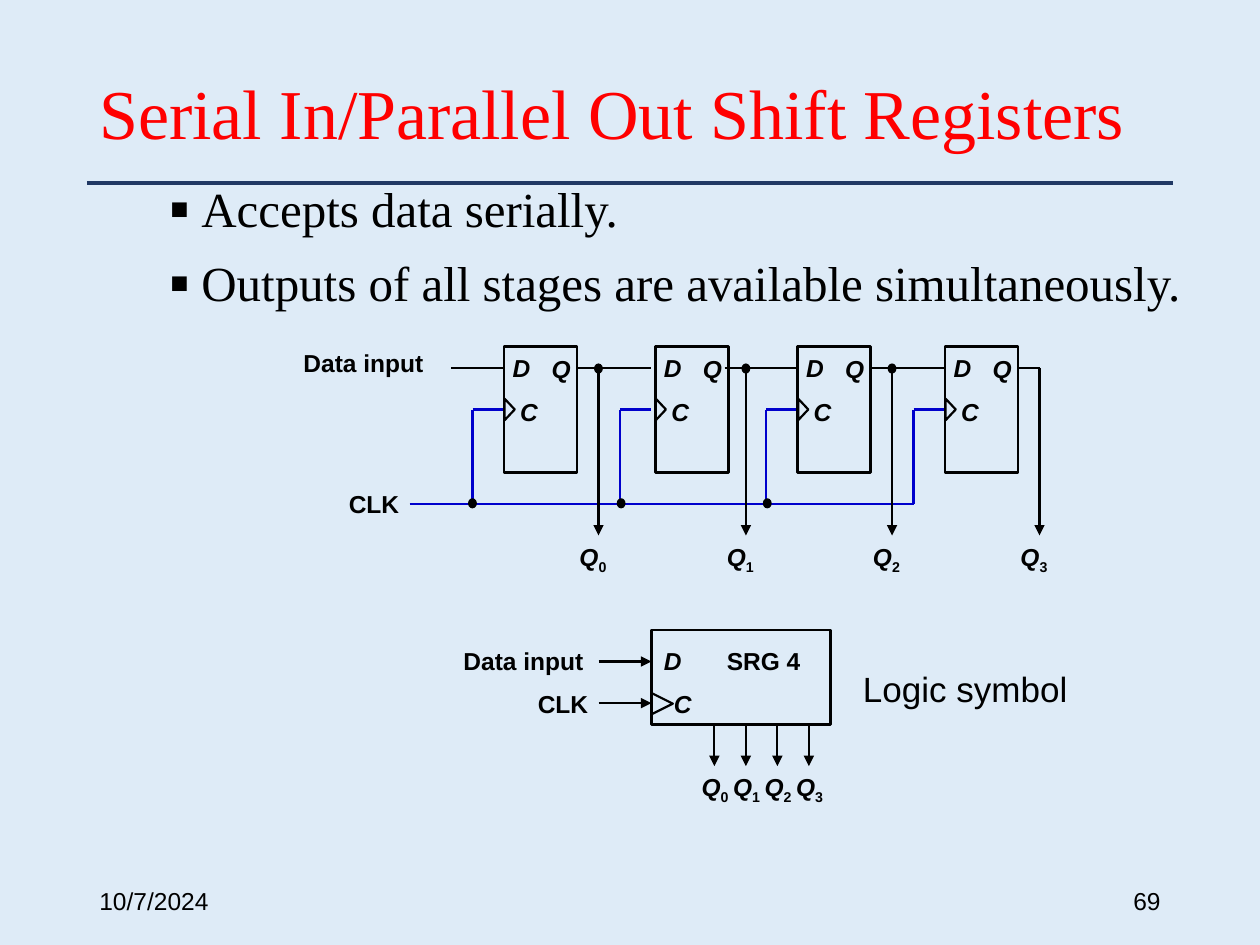
from lxml import etree
from pptx import Presentation
from pptx.dml.color import RGBColor
from pptx.enum.shapes import MSO_CONNECTOR, MSO_SHAPE as SHAPE
from pptx.enum.text import MSO_ANCHOR as ANCHOR, PP_ALIGN as ALIGN
from pptx.oxml.ns import qn
from pptx.util import Inches, Pt

COLORS = {
    "background": "DEEBF7",
    "rule": "203864",
    "title": "FF0000",
    "ink": "000000",
    "clock": "0000CC",
}

prs = Presentation()
prs.slide_width, prs.slide_height = Inches(10), Inches(7.5)
s = prs.slides.add_slide(prs.slide_layouts[6])
s.background.fill.solid()
s.background.fill.fore_color.rgb = RGBColor.from_string(COLORS["background"])


def add_text(text, x, y, w, h, size=14, font="Arial", color="ink", bold=False,
             italic=False, sub="", align=ALIGN.LEFT, anchor=ANCHOR.TOP,
             wrap=True, spacing=1.0, before=0, bullet=""):
    sp = s.shapes.add_textbox(Inches(x), Inches(y), Inches(w), Inches(h))
    tf = sp.text_frame
    tf.word_wrap, tf.vertical_anchor = wrap, anchor
    for i, line in enumerate(text.split("\n")):
        p = tf.add_paragraph() if i else tf.paragraphs[0]
        p.alignment, p.line_spacing = align, spacing
        if i:
            p.space_before = Pt(before)
        if bullet:
            pPr = p._p.get_or_add_pPr()
            pPr.set("marL", str(Inches(0.25)))
            pPr.set("indent", str(Inches(-0.25)))
            etree.SubElement(pPr, qn("a:buSzPct"), val="120000")
            etree.SubElement(pPr, qn("a:buFont"), typeface="Arial")
            etree.SubElement(pPr, qn("a:buChar"), char=bullet)
        for part in filter(None, (line, sub)):
            r = p.add_run()
            r.text = part
            r.font.size, r.font.name, r.font.bold = Pt(size), font, bold
            r.font.italic = italic and part is line
            r.font.color.rgb = RGBColor.from_string(COLORS[color])
            if part is sub:
                r._r.get_or_add_rPr().set("baseline", "-25000")


def add_line(x1, y1, x2, y2, color="ink", width=1.25, arrow=False):
    sp = s.shapes.add_connector(MSO_CONNECTOR.STRAIGHT, Inches(x1), Inches(y1),
                                Inches(x2), Inches(y2))
    sp.line.color.rgb = RGBColor.from_string(COLORS[color])
    sp.line.width = Pt(width)
    if arrow:
        etree.SubElement(sp.line._get_or_add_ln(), qn("a:tailEnd"), type="triangle")
    etree.SubElement(sp._element.spPr, qn("a:effectLst"))


# Title, rule, bullets and footer
add_line(0.69, 1.45, 9.31, 1.45, color="rule", width=2.25)
add_text("10/7/2024", 0.69, 6.95, 2.25, 0.4, anchor=ANCHOR.MIDDLE)
add_text("69", 7.06, 6.95, 2.25, 0.4, align=ALIGN.RIGHT, anchor=ANCHOR.MIDDLE)
add_text("Serial In/Parallel Out Shift Registers", 0.69, 0.4, 8.62, 1.05, size=40,
         font="Times New Roman", color="title", anchor=ANCHOR.MIDDLE, spacing=0.9)
add_text("Accepts data serially.\nOutputs of all stages are available simultaneously.",
         1.25, 1.42, 8.42, 1.25, size=28, font="Times New Roman", spacing=0.9,
         before=12, bullet="▪")

# Shapes as (preset, left, top, width, height, rotation, line width)
shapes = []

# Circuit: input and clock lines
data_y, clock_y, bus_y = 2.92, 3.25, 4
stage_x = [4, 5.2, 6.33, 7.5]
clock_x = [3.75, 4.92, 6.08, 7.25]
output_x = [4.75, 5.92, 7.08, 8.25]
wire_ends = [5.17, 6.33, 7.5, 8.25]
add_text("Data input", 2.31, 2.71, 1.33, 0.33, bold=True)
add_text("CLK", 2.67, 3.83, 0.6, 0.33, bold=True, wrap=False)
add_line(3.58, data_y, stage_x[0], data_y)
add_line(3.25, bus_y, clock_x[-1], bus_y, color="clock")

# Circuit: four flip-flop stages
for i, (x, clk, out, end) in enumerate(zip(stage_x, clock_x, output_x, wire_ends)):
    add_line(clk, clock_y, clk + 0.25, clock_y, color="clock")
    add_line(clk, clock_y, clk, bus_y, color="clock")
    add_line(x + (0.55 if i == 1 else 0.58), data_y, end, data_y)
    add_line(out, data_y, out, 4.25, arrow=True)
    shapes += [(SHAPE.RECTANGLE, x, 2.75, 0.58, 1, 0, 1.5),
               (SHAPE.ISOSCELES_TRIANGLE, x - 0.04, 3.21, 0.17, 0.08, 90, 1.25)]
    if i < 3:
        dot_x = clk - (0.02 if i else 0.03)
        shapes += [(SHAPE.OVAL, dot_x, 3.96, 0.06, 0.07, 0, 0.75),
                   (SHAPE.OVAL, out - 0.03, 2.89, 0.06, 0.07, 0, 0.75)]
    for name, dx, y in (("D", -0.03, 2.75), ("C", 0.03, 3.1), ("Q", 0.28, 2.76)):
        add_text(name, x + dx, y, 0.34, 0.33, bold=True, italic=True)
    add_text("Q", out - 0.25, 4.25, 0.42, 0.33, bold=True, italic=True,
             sub=str(i), wrap=False)

# Logic symbol
shapes += [(SHAPE.RECTANGLE, 5.17, 5, 1.42, 0.75, 0, 1.5),
           (SHAPE.ISOSCELES_TRIANGLE, 5.17, 5.5, 0.17, 0.17, 90, 1.25)]
for text, x, y, w, italic in (
    ("D", 5.17, 5.08, 0.35, True),
    ("C", 5.25, 5.42, 0.33, True),
    ("CLK", 4.17, 5.42, 0.67, False),
    ("Data input", 3.58, 5.08, 1.17, False),
    ("SRG 4", 5.67, 5.08, 0.83, False),
):
    add_text(text, x, y, w, 0.33, bold=True, italic=italic)
for y in (5.25, 5.58):
    add_line(4.75, y, 5.17, y, arrow=True)
for i in range(4):
    x = 5.67 + 0.25 * i
    add_line(x, 5.75, x, 6.08, arrow=True)
    add_text("Q", x - 0.2, 6.08, 0.42, 0.33, bold=True, italic=True,
             sub=str(i), wrap=False)
add_text("Logic symbol", 6.75, 5.25, 2.08, 0.43, size=20)

# Boxes, clock triangles and junction dots
for kind, x, y, w, h, rotation, width in shapes:
    sp = s.shapes.add_shape(kind, Inches(x), Inches(y), Inches(w), Inches(h))
    sp.rotation, sp.shadow.inherit = rotation, False
    sp.line.color.rgb = RGBColor.from_string(COLORS["ink"])
    sp.line.width = Pt(width)
    if kind == SHAPE.OVAL:
        sp.fill.solid()
        sp.fill.fore_color.rgb = RGBColor.from_string(COLORS["ink"])
    else:
        sp.fill.background()

prs.save("out.pptx")
